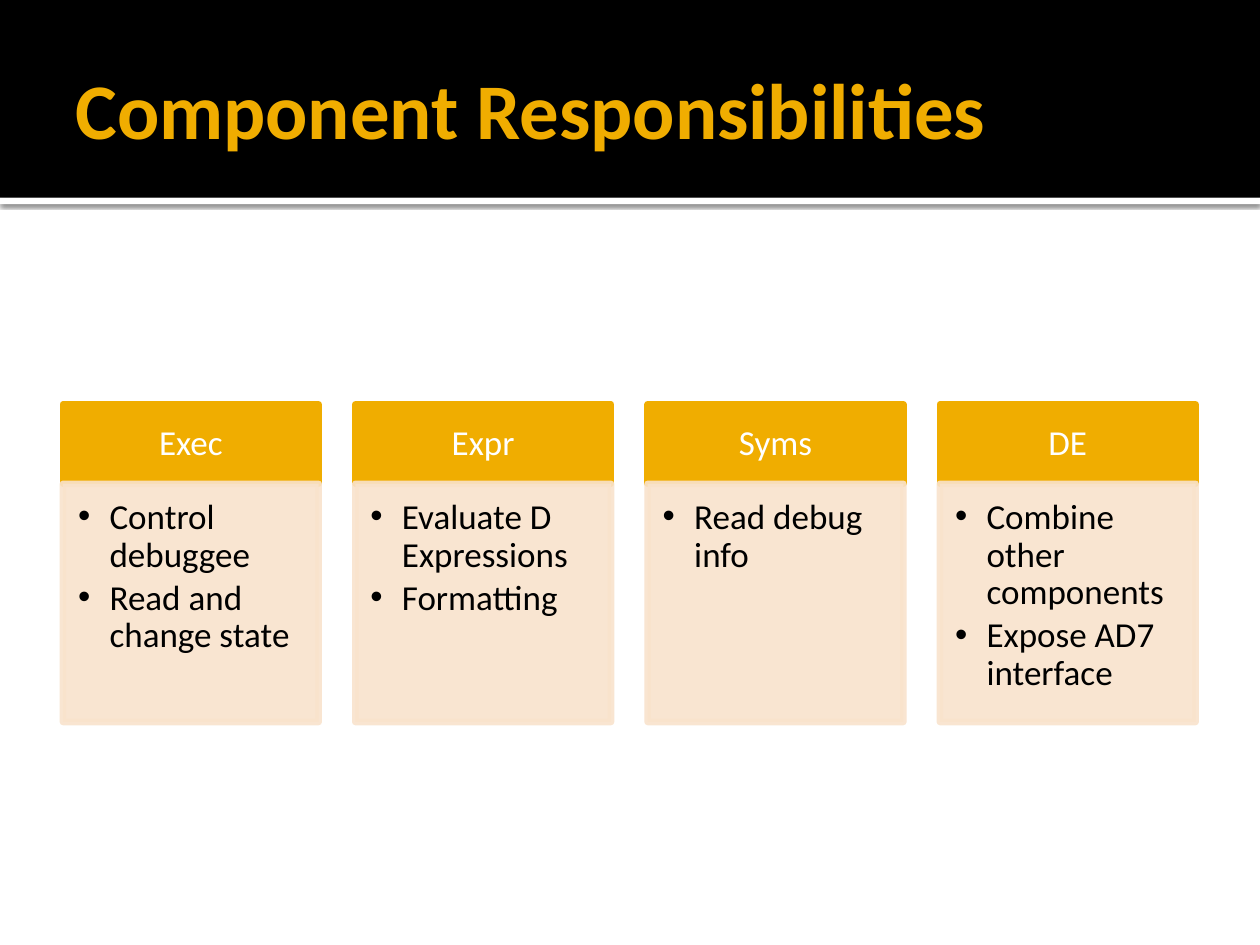
from lxml.etree import SubElement
from pptx import Presentation
from pptx.dml.color import RGBColor
from pptx.enum.shapes import MSO_SHAPE
from pptx.enum.text import MSO_ANCHOR as Anchor, PP_ALIGN as Align
from pptx.oxml.ns import qn
from pptx.util import Inches, Pt

THEME = {
    "font": "Calibri",
    "black": RGBColor.from_string("000000"),
    "white": RGBColor.from_string("FFFFFF"),
    "gold": RGBColor.from_string("F0AD00"),
    "cream": RGBColor.from_string("F9E3CC"),
    "title_size": Pt(45),
    "body_size": Pt(20),
    "outline": Pt(3.78),
}

COMPONENTS = {
    "Exec": ["Control debuggee", "Read and change state"],
    "Expr": ["Evaluate D Expressions", "Formatting"],
    "Syms": ["Read debug info"],
    "DE": ["Combine other components", "Expose AD7 interface"],
}


def add_box(left, top, width, height, color, outlined=False):
    box = slide.shapes.add_shape(
        MSO_SHAPE.RECTANGLE, Inches(left), Inches(top), Inches(width), Inches(height)
    )
    box.shadow.inherit = False
    box.fill.solid()
    box.fill.fore_color.rgb = THEME[color]
    if outlined:
        box.line.color.rgb = THEME[color]
        box.line.width = THEME["outline"]
    else:
        box.line.fill.background()
    return box


def write_text(box, lines, insets, anchor, size, color, bold=False, **para_format):
    frame = box.text_frame
    frame.word_wrap = True
    frame.vertical_anchor = anchor
    for side, inset in zip(("left", "top", "right", "bottom"), insets):
        setattr(frame, f"margin_{side}", Inches(inset))
    for index, line in enumerate(lines):
        para = frame.paragraphs[0] if index == 0 else frame.add_paragraph()
        for name, value in para_format.items():
            setattr(para, name, value)
        span = para.add_run()
        span.text = line
        font_format = {"name": THEME["font"], "size": THEME[size], "bold": bold}
        for name, value in font_format.items():
            setattr(span.font, name, value)
        span.font.color.rgb = THEME[color]
    return frame.paragraphs


deck = Presentation()
deck.slide_width, deck.slide_height = Inches(10), Inches(7.5)
slide = deck.slides.add_slide(deck.slide_layouts[6])

strip = add_box(0, 1.57, 10, 0.05, "white")
effects = strip._element.spPr.find(qn("a:effectLst"))
shadow = SubElement(
    effects, qn("a:outerShdw"),
    blurRad=str(Pt(2.5)), dist=str(Pt(0.8)), dir="5400000", rotWithShape="0",
)
shadow_color = SubElement(shadow, qn("a:srgbClr"), val="000000")
SubElement(shadow_color, qn("a:alpha"), val="60000")

add_box(0, 0, 10, 1.57, "black")
title = slide.shapes.add_textbox(Inches(0.5), Inches(0.17), Inches(9), Inches(1.37))
write_text(
    title, ["Component Responsibilities"], (0.1, 0.05, 0.05, 0.05),
    Anchor.MIDDLE, "title_size", "gold", bold=True, alignment=Align.LEFT,
)

first_left, column_pitch, column_width = 0.5, 2.32, 2.03
header_top, header_height, body_height = 3.21, 0.63, 1.89

for column, (component, duties) in enumerate(COMPONENTS.items()):
    left = first_left + column * column_pitch
    header = add_box(left, header_top, column_width, header_height, "gold", True)
    write_text(
        header, [component], (0.16, 0.09, 0.16, 0.09), Anchor.MIDDLE,
        "body_size", "white", alignment=Align.CENTER, line_spacing=0.9,
    )

    body = add_box(
        left, header_top + header_height, column_width, body_height, "cream", True
    )
    for color_node in body._element.spPr.iter(qn("a:srgbClr")):
        SubElement(color_node, qn("a:alpha"), val="90000")
    paragraphs = write_text(
        body, duties, (0.12, 0.12, 0.16, 0.17), Anchor.TOP, "body_size", "black",
        alignment=Align.LEFT, line_spacing=0.9, space_after=Pt(3), level=1,
    )
    for para in paragraphs:
        properties = para._p.get_or_add_pPr()
        properties.set("marL", str(Inches(0.25)))
        properties.set("indent", str(Inches(-0.25)))
        SubElement(properties, qn("a:buFont"), typeface="Arial")
        SubElement(properties, qn("a:buChar"), char="•")

deck.save("out.pptx")
